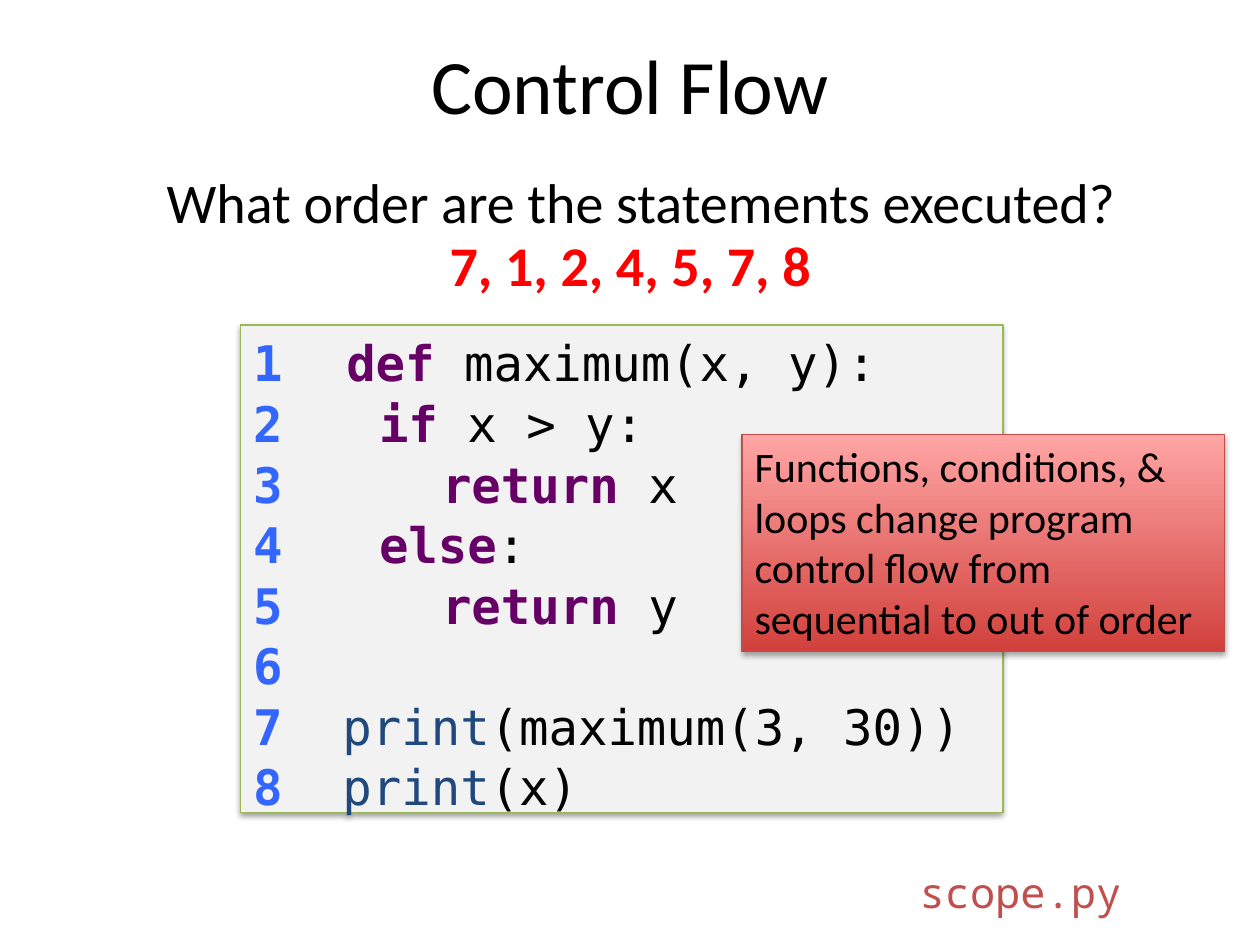
from lxml.etree import SubElement
from pptx import Presentation
from pptx.dml.color import RGBColor
from pptx.enum.shapes import MSO_SHAPE
from pptx.enum.text import MSO_ANCHOR, PP_ALIGN
from pptx.oxml.ns import qn
from pptx.util import Inches, Pt

NUMBER, KEYWORD, BUILTIN, PLAIN, BLACK = "3366FF", "660066", "1F497D", "020202", "000000"
CODE_LINES = [
    (0.74, [("def", KEYWORD), (" maximum(x, y):", PLAIN)]),
    (1, [("if ", KEYWORD), ("x > y:", PLAIN)]),
    (1.5, [("return ", KEYWORD), ("x", BLACK)]),
    (1, [("else", KEYWORD), (":", PLAIN)]),
    (1.5, [("return ", KEYWORD), ("y", BLACK)]),
    (0, []),
    (0.71, [("print", BUILTIN), ("(maximum(3, 30))", PLAIN)]),
    (0.71, [("print", BUILTIN), ("(x)", PLAIN)]),
]


def color(hex_string):
    """Turn a hex string into a colour."""
    return RGBColor.from_string(hex_string)


def style(run, size, font, hex_string, bold=False):
    """Format one run of text."""
    run.font.size, run.font.name, run.font.bold = Pt(size), font, bold
    run.font.color.rgb = color(hex_string)


def place(part, box):
    """Move a part to a box of left, top, width and height in inches."""
    part.left, part.top, part.width, part.height = map(Inches, box)


def write(frame, text, size, font, hex_string, align=PP_ALIGN.LEFT, bold=False):
    """Fill a text frame with one formatted paragraph."""
    frame.text = text
    paragraph = frame.paragraphs[0]
    paragraph.alignment = align
    style(paragraph.runs[0], size, font, hex_string, bold)
    return paragraph


def add_heading(slide, title_box, question_box):
    """Place the title and the question below it."""
    title, question = slide.placeholders
    place(title, title_box)
    title.text_frame.vertical_anchor = MSO_ANCHOR.MIDDLE
    write(title.text_frame, "Control Flow", 44, "Calibri", BLACK, PP_ALIGN.CENTER)
    place(question, question_box)
    paragraph = write(question.text_frame, "What order are the statements executed?",
                      32, "Calibri", BLACK, PP_ALIGN.CENTER)
    properties = paragraph._p.get_or_add_pPr()
    properties.set("marL", "0")
    properties.set("indent", "0")
    SubElement(properties, qn("a:buNone"))


def add_label(slide, box, text, size, font, hex_string, bold=False, wrap=True):
    """Place a line of text without a frame."""
    label = slide.shapes.add_textbox(*map(Inches, box))
    label.text_frame.word_wrap = wrap
    write(label.text_frame, text, size, font, hex_string, bold=bold)


def add_panel(slide, box, line, opacity, distance):
    """Place a thinly outlined rectangle with a soft shadow below."""
    panel = slide.shapes.add_shape(MSO_SHAPE.RECTANGLE, *map(Inches, box))
    panel.line.color.rgb, panel.line.width = color(line), Pt(0.75)
    panel.text_frame.word_wrap = True
    panel.text_frame.vertical_anchor = MSO_ANCHOR.TOP
    panel.shadow.inherit = False
    effects = panel._element.spPr.find(qn("a:effectLst"))
    shadow = SubElement(effects, qn("a:outerShdw"), blurRad=str(Pt(3.1)),
                        dist=str(Pt(distance)), dir="5400000", rotWithShape="0")
    shade = SubElement(shadow, qn("a:srgbClr"), val=BLACK)
    SubElement(shade, qn("a:alpha"), val=str(opacity * 1000))
    return panel


def add_code(slide, box):
    """Place the numbered program listing."""
    listing = add_panel(slide, box, "98B955", 38, 1.6)
    listing.fill.solid()
    listing.fill.fore_color.rgb = color("F2F2F2")
    frame = listing.text_frame
    for number, (indent, pieces) in enumerate(CODE_LINES, 1):
        paragraph = frame.paragraphs[0] if number == 1 else frame.add_paragraph()
        paragraph.alignment, paragraph.line_spacing = PP_ALIGN.LEFT, 1.03
        if pieces:
            tabs = SubElement(paragraph._p.get_or_add_pPr(), qn("a:tabLst"))
            SubElement(tabs, qn("a:tab"), pos=str(Inches(indent)), algn="l")
        lead = f"{number}\t" if pieces else str(number)
        for text, hex_string in [(lead, NUMBER), *pieces]:
            run = paragraph.add_run()
            run.text = text
            style(run, 28, "DejaVu Sans Mono", hex_string, hex_string in (NUMBER, KEYWORD))


def add_callout(slide, box):
    """Place the red remark on control flow."""
    callout = add_panel(slide, box, "BF4C48", 35, 1.8)
    callout.fill.gradient()
    callout.fill.gradient_angle = 90
    for stop, position, shade in zip(callout.fill.gradient_stops, (0, 1), ("D1403C", "FFA6A5")):
        stop.position, stop.color.rgb = position, color(shade)
    write(callout.text_frame, "Functions, conditions, & loops change program control flow "
          "from sequential to out of order", 24, "Calibri", BLACK)


def main():
    """Build the slide and save it."""
    deck = Presentation()
    deck.slide_width, deck.slide_height = Inches(10), Inches(7.5)
    slide = deck.slides.add_slide(deck.slide_layouts[1])
    add_heading(slide, (0.5, 0.04, 9, 1.25), (0.18, 1.28, 9.82, 0.83))
    add_code(slide, (1.91, 2.58, 6.05, 3.87))
    add_label(slide, (7.2, 6.83, 2.52, 0.5), "scope.py", 24, "Noto Sans Mono", "C0504D")
    add_label(slide, (3.47, 1.78, 3.1, 0.64), "7, 1, 2, 4, 5, 7, 8", 32, "Calibri",
              "FF0000", bold=True, wrap=False)
    add_callout(slide, (5.89, 3.45, 3.83, 1.72))
    deck.save("out.pptx")


main()
